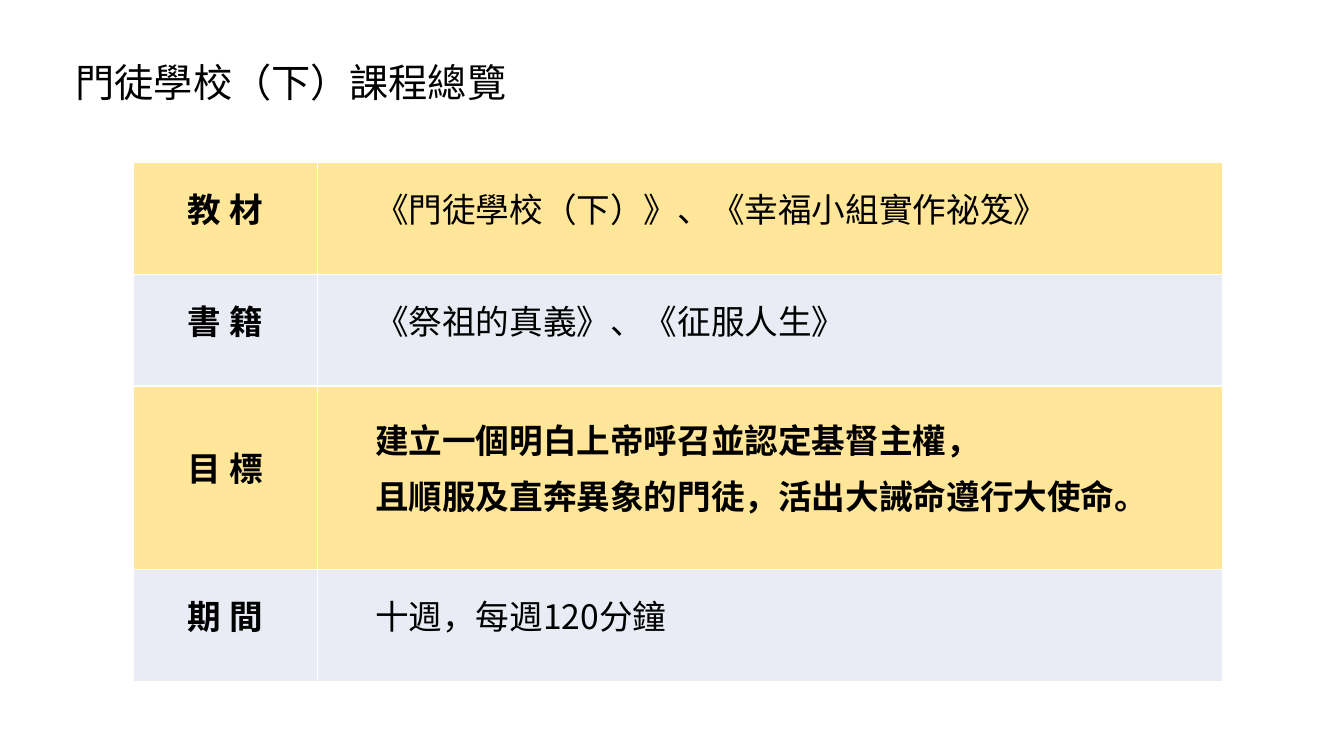
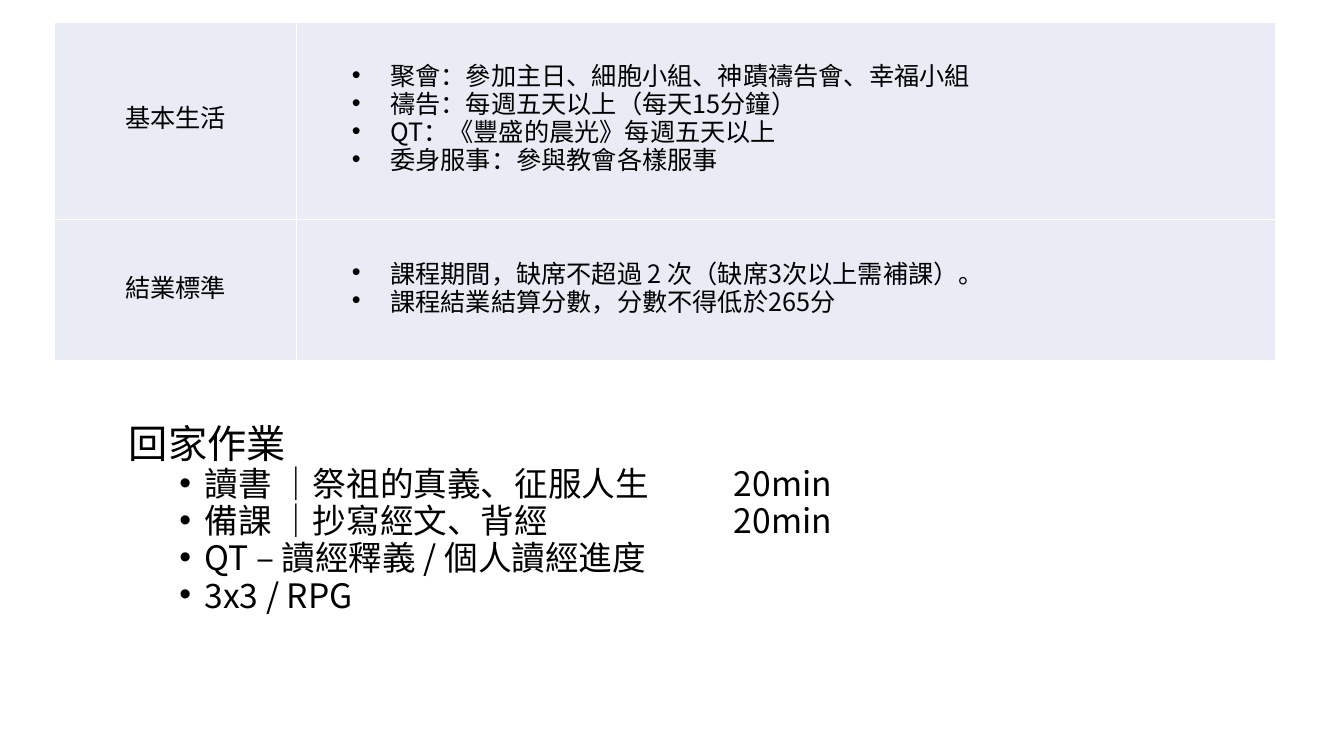
from dataclasses import dataclass
from lxml.etree import SubElement
from pptx import Presentation
from pptx.dml.color import RGBColor
from pptx.enum.text import MSO_ANCHOR, PP_ALIGN
from pptx.oxml import parse_xml
from pptx.oxml.ns import qn
from pptx.util import Emu, Pt

# Shared scale, colours and fonts
PX = 9144  # 100 px to the inch
BLACK, WHITE, GOLD, MIST = "000000", "FFFFFF", "FFE699", "E9EBF5"
SANS, SERIF = "Noto Sans CJK TC", "Times New Roman"
DRAWING = "http://schemas.openxmlformats.org/drawingml/2006/main"


@dataclass
class Row:
    height: int
    label: str
    lines: list[str]
    fill: str = MIST
    bold: bool = False


@dataclass
class TableStyle:
    size: int
    margin_x: int
    margin_y: int
    bold_label: bool
    indent: int
    hanging: int = 0
    bullet: bool = False
    gap: int = 0


def px(length: int) -> Emu:
    return Emu(length * PX)


def color(value: str) -> RGBColor:
    return RGBColor.from_string(value)


def add_text(frame, text: str, *, size: float, first: bool = True, bold: bool = False,
             font: str = SANS, align=PP_ALIGN.LEFT, spacing=0.9, before: float = 0,
             indent: int = 0, hanging: int = 0, bullet: bool = False, tab: int = 0) -> None:
    """Write one paragraph; lengths are px, sizes and spaces are points."""
    para = frame.paragraphs[0] if first else frame.add_paragraph()
    para.alignment, para.line_spacing = align, spacing
    para.space_before = Pt(0 if first else before)
    properties = para._p.get_or_add_pPr()
    if indent:
        para.level = 1
        properties.set("marL", str(px(indent)))
        properties.set("indent", str(px(-hanging)))
    if bullet:
        SubElement(properties, qn("a:buFont"), typeface="Arial")
        SubElement(properties, qn("a:buChar"), char="•")
    if tab:
        tabs = SubElement(properties, qn("a:tabLst"))
        SubElement(tabs, qn("a:tab"), pos=str(px(tab)), algn="l")
    span = para.add_run()
    span.text = text
    span.font.size, span.font.bold, span.font.name = Pt(size), bold, font
    span.font.color.rgb = color(BLACK)
    SubElement(span._r.get_or_add_rPr(), qn("a:ea"), typeface=SANS)


def add_box(page, left: int, top: int, width: int, height: int, *,
            anchor=MSO_ANCHOR.TOP, margin_left: int = 10):
    frame = page.shapes.add_textbox(px(left), px(top), px(width), px(height)).text_frame
    frame.word_wrap, frame.vertical_anchor = True, anchor
    frame.margin_left = px(margin_left)
    return frame


def style_cell(cell, fill: str, style: TableStyle) -> None:
    cell.vertical_anchor = MSO_ANCHOR.MIDDLE
    cell.margin_left = cell.margin_right = px(style.margin_x)
    cell.margin_top = cell.margin_bottom = px(style.margin_y)
    cell.fill.solid()
    cell.fill.fore_color.rgb = color(fill)
    for position, side in enumerate(("lnL", "lnR", "lnT", "lnB")):
        border = parse_xml(f'<a:{side} xmlns:a="{DRAWING}" w="{Pt(1)}"><a:solidFill>'
                           f'<a:srgbClr val="{WHITE}"/></a:solidFill></a:{side}>')
        cell._tc.get_or_add_tcPr().insert(position, border)


def add_label_table(page, left: int, top: int, widths: list[int],
                    rows: list[Row], style: TableStyle) -> None:
    """Draw a table with a centred label and a block of lines in each row."""
    height = sum(row.height for row in rows)
    table = page.shapes.add_table(len(rows), len(widths), px(left), px(top),
                                  px(sum(widths)), px(height)).table
    table.first_row = table.horz_banding = False
    for column, width in zip(table.columns, widths):
        column.width = px(width)
    for index, row in enumerate(rows):
        table.rows[index].height = px(row.height)
        label, body = table.cell(index, 0), table.cell(index, 1)
        for cell in (label, body):
            style_cell(cell, row.fill, style)
        add_text(label.text_frame, row.label, size=style.size, bold=style.bold_label,
                 align=PP_ALIGN.CENTER, spacing=Pt(20))
        for number, line in enumerate(row.lines):
            add_text(body.text_frame, line, first=number == 0, size=style.size,
                     bold=row.bold, align=PP_ALIGN.JUSTIFY, spacing=Pt(20),
                     before=style.gap, indent=style.indent, hanging=style.hanging,
                     bullet=style.bullet)


def build_overview(page) -> None:
    title = add_box(page, 31, 12, 1150, 145, anchor=MSO_ANCHOR.MIDDLE, margin_left=44)
    add_text(title, "門徒學校（下）課程總覽", size=28, font=SERIF)
    rows = [
        Row(111, "教 材", ["《門徒學校（下）》、《幸福小組實作祕笈》"], GOLD),
        Row(111, "書 籍", ["《祭祖的真義》、《征服人生》"]),
        Row(182, "目 標", ["建立一個明白上帝呼召並認定基督主權，",
                         "且順服及直奔異象的門徒，活出大誡命遵行大使命。"], GOLD, bold=True),
        Row(111, "期 間", ["十週，每週120分鐘"]),
    ]
    add_label_table(page, 132, 161, [183, 898], rows,
                    TableStyle(24, 7, 8, bold_label=True, indent=50, gap=20))


def build_requirements(page) -> None:
    # Homework list
    homework = add_box(page, 118, 420, 1021, 254)
    add_text(homework, "回家作業", size=28, spacing=0.8)
    for task in ("讀書 ｜祭祖的真義、征服人生\t20min", "備課 ｜抄寫經文、背經\t20min",
                 "QT – 讀經釋義 / 個人讀經進度", "3x3 / RPG"):
        add_text(homework, task, first=False, size=24, spacing=0.8, before=3.5,
                 indent=75, hanging=25, bullet=True, tab=600)
    # Requirements table
    rows = [
        Row(196, "基本生活", ["聚會：參加主日、細胞小組、神蹟禱告會、幸福小組",
                          "禱告：每週五天以上（每天15分鐘）",
                          "QT：《豐盛的晨光》每週五天以上",
                          "委身服事：參與教會各樣服事"]),
        Row(140, "結業標準", ["課程期間，缺席不超過 2 次（缺席3次以上需補課）。",
                          "課程結業結算分數，分數不得低於265分"]),
    ]
    add_label_table(page, 54, 22, [240, 971], rows,
                    TableStyle(18, 5, 6, bold_label=False, indent=88, hanging=38, bullet=True))


def main() -> None:
    deck = Presentation()
    deck.slide_width, deck.slide_height = px(1333), px(750)
    for build in (build_overview, build_requirements):
        build(deck.slides.add_slide(deck.slide_layouts[6]))
    deck.save("out.pptx")


if __name__ == "__main__":
    main()
